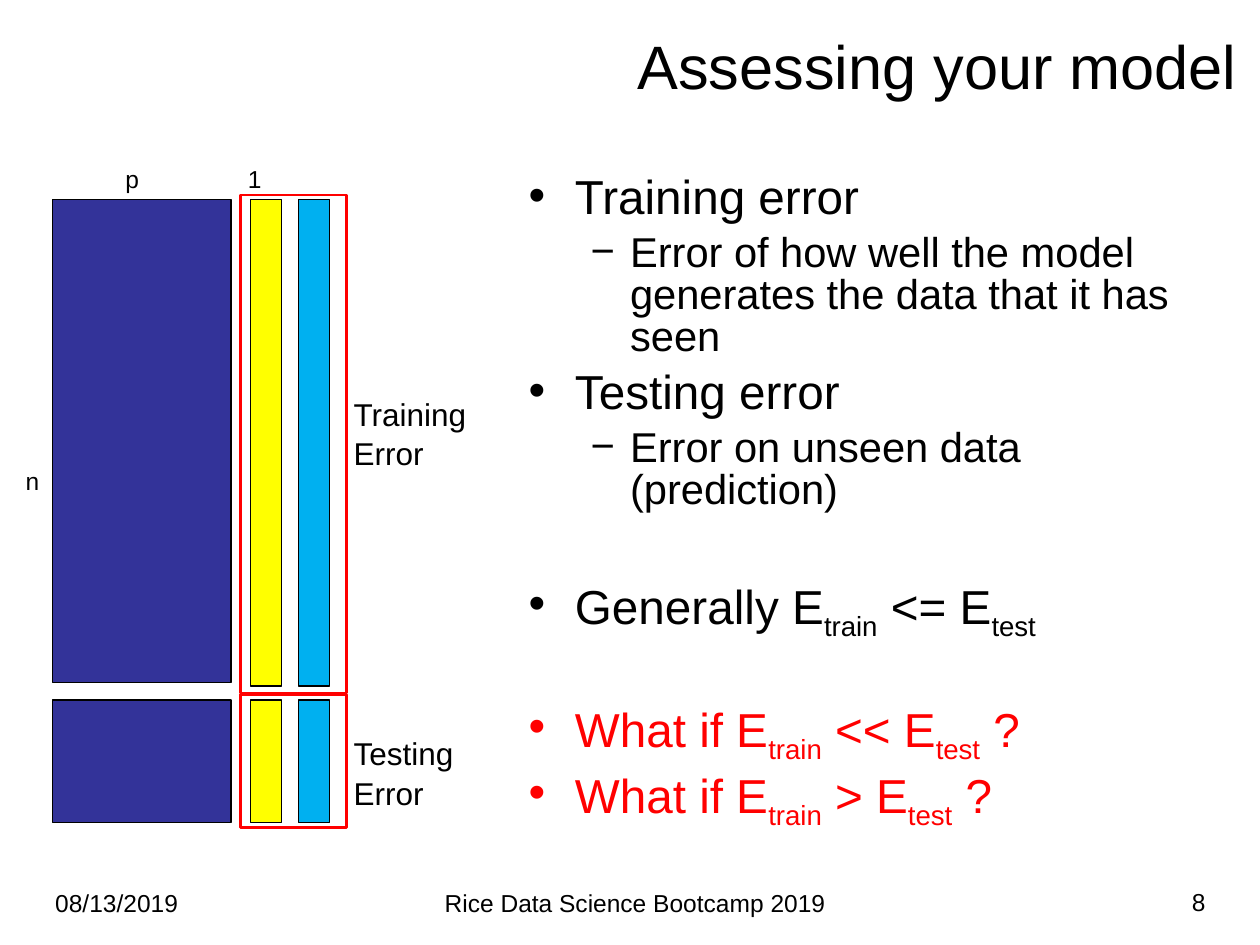
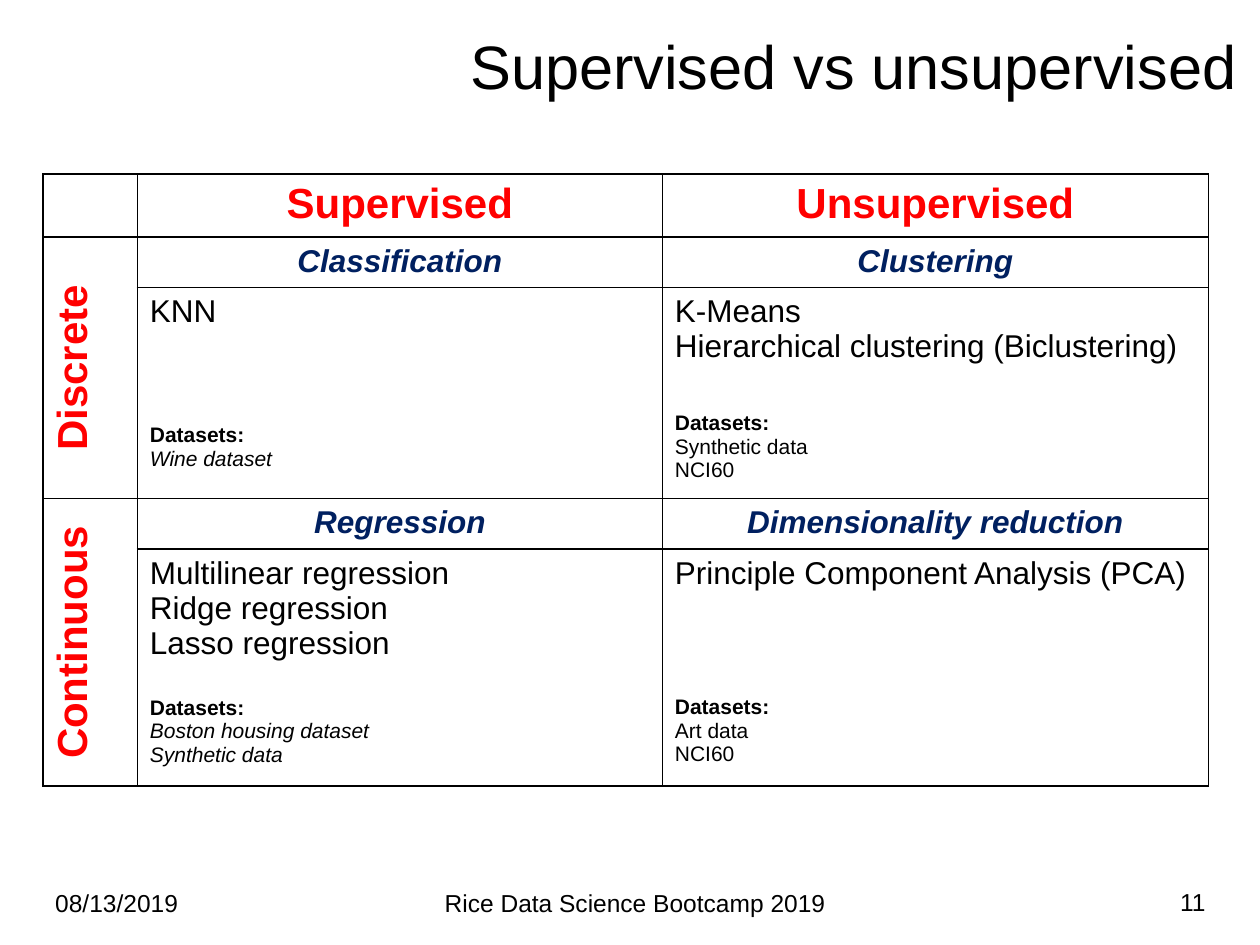
from lxml import etree
from pptx import Presentation
from pptx.dml.color import RGBColor
from pptx.enum.shapes import MSO_SHAPE
from pptx.enum.text import MSO_ANCHOR, PP_ALIGN
from pptx.oxml.ns import qn
from pptx.util import Pt

BLACK = RGBColor(0x00, 0x00, 0x00)
RED = RGBColor(0xFF, 0x00, 0x00)
INDIGO = RGBColor(0x33, 0x33, 0x99)
YELLOW = RGBColor(0xFF, 0xFF, 0x00)
SKY = RGBColor(0x00, 0xB0, 0xF0)
NAVY = RGBColor(0x00, 0x20, 0x60)
FONT = "Arial"
LEFT, CENTER, RIGHT = PP_ALIGN.LEFT, PP_ALIGN.CENTER, PP_ALIGN.RIGHT
TOP, MIDDLE = MSO_ANCHOR.TOP, MSO_ANCHOR.MIDDLE
RECTANGLE = MSO_SHAPE.RECTANGLE


def write_text(frame, text, size=14, color=BLACK, bold=False, italic=False, align=LEFT,
               before=0, spacing=None, bullet=None, margin=0, indent=0):
    """Add a paragraph to the frame; parts between underscores become subscripts."""
    paragraph = frame.paragraphs[0]
    if paragraph.runs:
        paragraph = frame.add_paragraph()
    paragraph.alignment = align
    paragraph.space_before = Pt(before)
    if spacing:
        paragraph.line_spacing = spacing
    if bullet:
        properties = paragraph._p.get_or_add_pPr()
        properties.set("marL", str(Pt(margin)))
        properties.set("indent", str(Pt(indent)))
        bullet_color = etree.SubElement(properties, qn("a:buClr"))
        etree.SubElement(bullet_color, qn("a:srgbClr"), val=str(color))
        etree.SubElement(properties, qn("a:buFont"), typeface=FONT)
        etree.SubElement(properties, qn("a:buChar"), char=bullet)
    for index, part in enumerate(text.split("_")):
        if not part:
            continue
        run = paragraph.add_run()
        run.text = part
        run.font.name = FONT
        run.font.size = Pt(size)
        run.font.bold = bold
        run.font.italic = italic
        run.font.color.rgb = color
        if index % 2:
            run._r.get_or_add_rPr().set("baseline", "-25000")


def add_text_box(slide, left, top, width, height, anchor=TOP):
    """Add an empty wrapping text box and return its text frame."""
    box = slide.shapes.add_textbox(Pt(left), Pt(top), Pt(width), Pt(height))
    box.text_frame.word_wrap = True
    box.text_frame.vertical_anchor = anchor
    return box.text_frame


presentation = Presentation()
presentation.slide_width = Pt(720)
presentation.slide_height = Pt(540)

# Title and footers shared by the slides
slides = []
for title, number in [("Assessing your model", "8"), ("Supervised vs unsupervised", "11")]:
    slide = presentation.slides.add_slide(presentation.slide_layouts[6])
    write_text(add_text_box(slide, 204, 1, 510, 72, MIDDLE), title, size=35, align=RIGHT)
    for text, left, top, width, align in [
        ("08/13/2019", 24.5, 504, 150, LEFT),
        ("Rice Data Science Bootcamp 2019", 204, 504, 318, CENTER),
        (number, 546, 503.5, 150, RIGHT),
    ]:
        write_text(add_text_box(slide, left, top, width, 24), text, align=align)
    slides.append(slide)
error_slide, methods_slide = slides

# Training and testing errors
LEVELS = [
    {"size": 27.2, "bullet": "•", "margin": 27, "indent": -26.5, "before": 6.4},
    {"size": 23.8, "bullet": "−", "margin": 58.5, "indent": -22.5, "before": 5.6},
]
SECTION_GAP = 39
body = add_text_box(error_slide, 294.5, 97, 402, 390)
for level, text, changes in [
    (0, "Training error", {"before": 0}),
    (1, "Error of how well the model generates the data that it has seen", {}),
    (0, "Testing error", {}),
    (1, "Error on unseen data (prediction)", {}),
    (0, "Generally E_train_ <= E_test_", {"before": SECTION_GAP}),
    (0, "What if E_train_ << E_test_ ?", {"before": SECTION_GAP, "color": RED}),
    (0, "What if E_train_ > E_test_ ?", {"color": RED}),
]:
    write_text(body, text, spacing=0.84, **{**LEVELS[level], **changes})

# Data matrix, response and prediction, split into training and testing rows
for left, top, width, height, fill, line, weight in [
    (30, 114, 102, 276, INDIGO, BLACK, 0.75),
    (143, 114, 18, 278, YELLOW, BLACK, 0.75),
    (170.5, 114, 18, 278, SKY, BLACK, 0.75),
    (30, 400, 102, 70, INDIGO, BLACK, 0.75),
    (143, 400, 18, 70, YELLOW, BLACK, 0.75),
    (170.5, 400, 18, 70, SKY, BLACK, 0.75),
    (137.5, 111.5, 60.5, 284.5, None, RED, 1.5),
    (137.5, 397, 60.5, 76, None, RED, 1.5),
]:
    block = error_slide.shapes.add_shape(RECTANGLE, Pt(left), Pt(top), Pt(width), Pt(height))
    block.shadow.inherit = False
    if fill is None:
        block.fill.background()
    else:
        block.fill.solid()
        block.fill.fore_color.rgb = fill
    block.line.color.rgb = line
    block.line.width = Pt(weight)

for label, left, top in [("p", 64.5, 90), ("1", 134.5, 90), ("n", 7.5, 263)]:
    write_text(add_text_box(error_slide, left, top, 27, 24), label)
for label, top in [("Training Error", 221), ("Testing Error", 415)]:
    write_text(add_text_box(error_slide, 195, top, 93, 50), label, size=18, spacing=1.05)

# Table of methods
COLUMN_WIDTHS = [54, 300, 312]
ROW_HEIGHTS = [34, 27.4, 114.6, 27.4, 128]
table = methods_slide.shapes.add_table(
    len(ROW_HEIGHTS), len(COLUMN_WIDTHS), Pt(24.5), Pt(99.5),
    Pt(sum(COLUMN_WIDTHS)), Pt(sum(ROW_HEIGHTS))).table
table.first_row = table.horz_banding = False
for column, width in zip(table.columns, COLUMN_WIDTHS):
    column.width = Pt(width)
for row, height in zip(table.rows, ROW_HEIGHTS):
    row.height = Pt(height)

for cell in table.iter_cells():
    cell.fill.background()
    properties = cell._tc.get_or_add_tcPr()
    for position, side in enumerate(["lnL", "lnR", "lnT", "lnB"]):
        border = etree.Element(qn("a:" + side), w=str(Pt(0.96)))
        border_fill = etree.SubElement(border, qn("a:solidFill"))
        etree.SubElement(border_fill, qn("a:srgbClr"), val=str(BLACK))
        properties.insert(position, border)

HEADING = {"size": 24, "color": RED, "bold": True, "align": CENTER}
for column, heading in enumerate(["Supervised", "Unsupervised"], start=1):
    write_text(table.cell(0, column).text_frame, heading, **HEADING)
for row, heading in [(1, "Discrete"), (3, "Continuous")]:
    cell = table.cell(row, 0)
    cell.merge(table.cell(row + 1, 0))
    cell._tc.get_or_add_tcPr().set("vert", "vert270")
    write_text(cell.text_frame, heading, **HEADING)

for row, column, task, methods, gap, datasets in [
    (1, 1, "Classification", ["KNN"], 54, ["Wine dataset"]),
    (1, 2, "Clustering", ["K-Means", "Hierarchical clustering (Biclustering)"], 27,
     ["Synthetic data", "NCI60"]),
    (3, 1, "Regression", ["Multilinear regression", "Ridge regression", "Lasso regression"], 20,
     ["Boston housing dataset", "Synthetic data"]),
    (3, 2, "Dimensionality reduction", ["Principle Component Analysis (PCA)"], 60,
     ["Art data", "NCI60"]),
]:
    write_text(table.cell(row, column).text_frame, task, size=18, color=NAVY,
               bold=True, italic=True, align=CENTER)
    details = table.cell(row + 1, column).text_frame
    for method in methods:
        write_text(details, method, size=18)
    write_text(details, "Datasets:", size=12, bold=True, before=gap)
    for dataset in datasets:
        write_text(details, dataset, size=12, italic=column == 1)

presentation.save("out.pptx")
